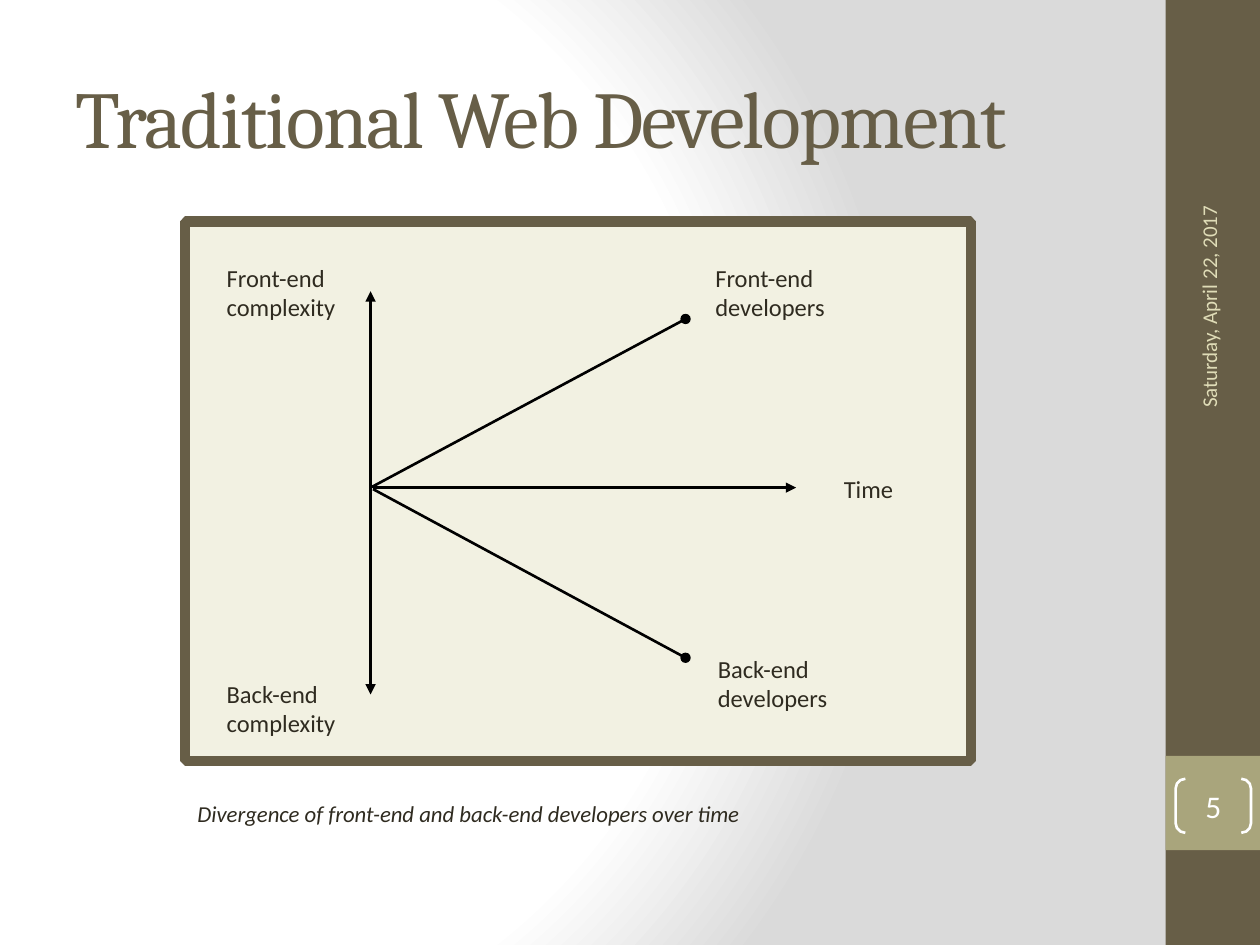
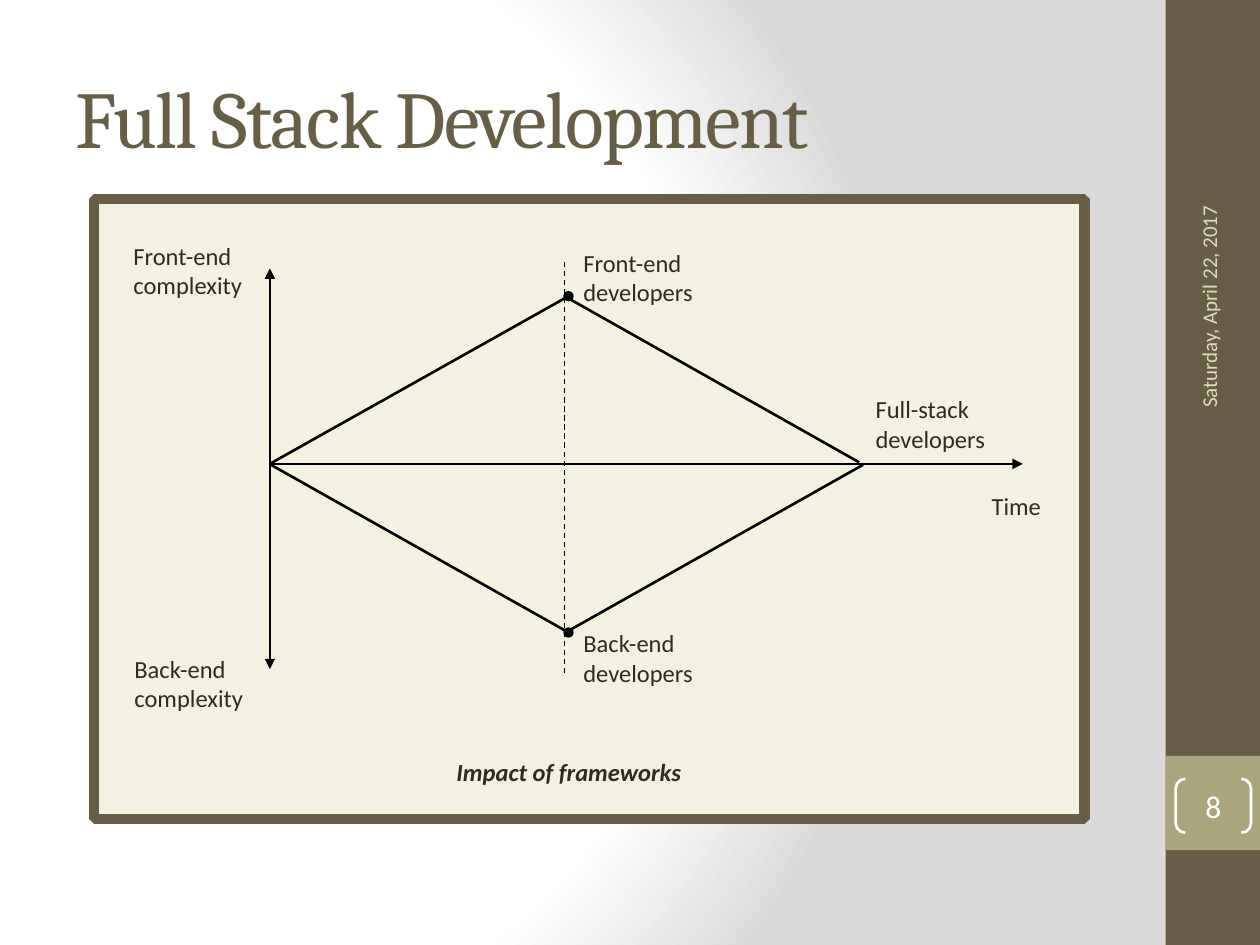
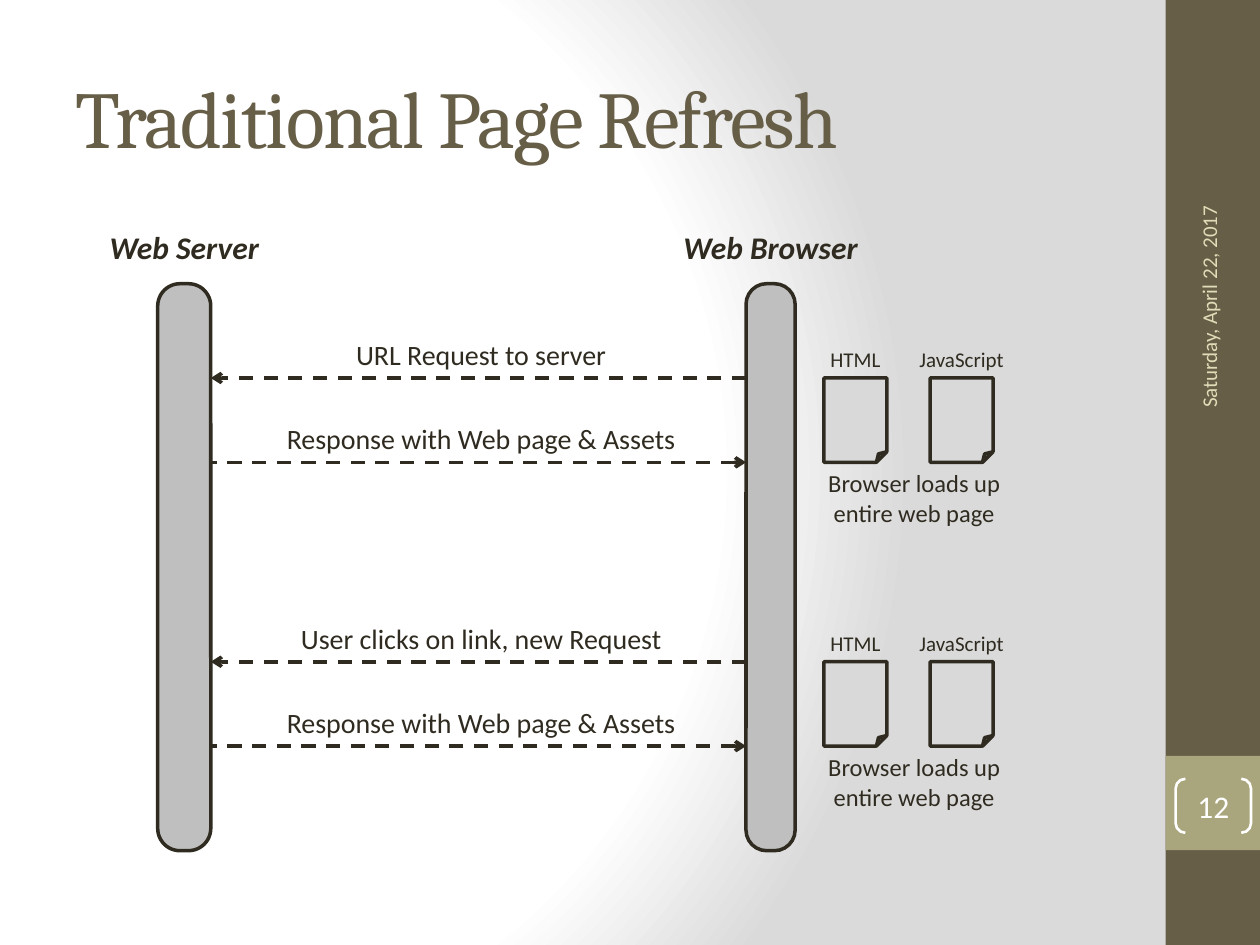
from dataclasses import dataclass

from lxml import etree
from pptx import Presentation
from pptx.dml.color import RGBColor
from pptx.enum import dml, shapes, text
from pptx.oxml import parse_xml
from pptx.oxml.ns import nsdecls, qn
from pptx.util import Cm, Pt


@dataclass(frozen=True)
class Theme:
    olive: str = "675E47"
    sage: str = "A9A57C"
    sand: str = "DFDCB7"
    cream: str = "F2F1E2"
    ink: str = "2F2B20"
    black: str = "000000"
    white: str = "FFFFFF"
    backdrop: str = "DADADA"
    bar: str = "BFBFBF"
    paper: str = "D9D9D9"
    heading_font: str = "Cambria"
    body_font: str = "Calibri"
    title: int = 46
    large: int = 18
    message: int = 16
    body: int = 14
    caption: int = 13
    small: int = 12


THEME = Theme()

# All places are in centimetres: left, top, width, height, or x, y pairs.
DATE = "Saturday, April 22, 2017"

DIAGRAMS = [
    {
        "title": "Traditional Web Development",
        "number": 5,
        "panel": (3.73, 4.47, 15.85, 10.87),
        "lines": [
            ((7.47, 14), (7.47, 5.87), "double arrow"),
            ((7.52, 9.83), (16.05, 9.83), "arrow"),
            ((7.47, 9.83), (13.82, 6.43), "dot"),
            ((7.52, 9.86), (13.82, 13.26), "dot"),
        ],
        "labels": [
            ("Front-end developers", (14.17, 5.05, 3.61, 1.75)),
            ("Back-end developers", (14.22, 12.93, 3.61, 1.35)),
            ("Front-end complexity", (4.32, 5.05, 2.9, 1.35)),
            ("Back-end complexity", (4.32, 13.44, 2.9, 1.35)),
            ("Time", (16.76, 9.3, 2.01, 1.22)),
        ],
        "caption": ("Divergence of front-end and back-end developers over time",
                    (3.73, 15.88, 11.71, 1.6),
                    {"size": THEME.caption, "italic": True}),
    },
    {
        "title": "Full Stack Development",
        "number": 8,
        "panel": (1.9, 4.01, 19.96, 12.5),
        "lines": [
            ((5.44, 13.49), (5.44, 5.41), "double arrow"),
            ((5.46, 9.35), (20.62, 9.35), "arrow"),
            ((5.44, 9.35), (11.46, 5.97), "dot"),
            ((11.4, 12.75), (17.4, 9.37), "plain"),
            ((5.46, 9.37), (11.46, 12.75), "dot"),
            ((11.38, 5.28), (11.38, 13.59), "divider"),
            ((11.38, 5.97), (17.32, 9.32), "plain"),
        ],
        "labels": [
            ("Front-end developers", (11.51, 4.75, 3.4, 1.6)),
            ("Back-end developers", (11.51, 12.42, 3.4, 1.85)),
            ("Front-end complexity", (2.44, 4.6, 2.74, 1.75)),
            ("Back-end complexity", (2.46, 12.93, 2.74, 1.68)),
            ("Full-stack developers", (17.4, 7.7, 3.4, 1.63)),
            ("Time", (19.74, 9.65, 1.9, 1.22)),
        ],
        "caption": ("Impact of frameworks", (8.46, 15.01, 6.02, 0.86),
                    {"bold": True, "italic": True, "centered": True}),
    },
]

LINE_STYLES = {
    "plain": {},
    "arrow": {"tail": "triangle"},
    "double arrow": {"head": "triangle", "tail": "triangle"},
    "dot": {"tail": "oval"},
    "divider": {"width": 0.75, "dashed": True},
}

REFRESH = {
    "title": "Traditional Page Refresh",
    "number": 12,
    "bars": [("Web Server", 3.18, 1.07), ("Web Browser", 15.04, 0.99)],
    "bar_top": 5.72,
    "bar_height": 11.43,
    "exchanges": [
        (7.62, "URL Request to server", "Response with Web page & Assets"),
        (13.34, "User clicks on link, new Request", "Response with Web page & Assets"),
    ],
    "files": [("HTML", 16.61), ("JavaScript", 18.75)],
    "file_size": (1.27, 1.7),
    "result": "Browser loads up entire web page",
}


def rgb(colour):
    return RGBColor.from_string(colour)


def write(frame, words, size=THEME.body, colour=THEME.ink, font=THEME.body_font,
          bold=False, italic=False, centered=False):
    paragraph = frame.paragraphs[0]
    paragraph.alignment = text.PP_ALIGN.CENTER if centered else text.PP_ALIGN.LEFT
    run = paragraph.add_run()
    run.text = words
    run.font.name, run.font.size = font, Pt(size)
    run.font.bold, run.font.italic = bold, italic
    run.font.color.rgb = rgb(colour)
    return run


def inset(frame, amount):
    frame.margin_left = frame.margin_right = Cm(amount)
    frame.margin_top = frame.margin_bottom = Cm(amount)


def add_label(slide, words, place, margin=None, **style):
    box = slide.shapes.add_textbox(*map(Cm, place))
    box.text_frame.word_wrap = True
    if margin is not None:
        inset(box.text_frame, margin)
    write(box.text_frame, words, **style)
    return box


def add_block(slide, kind, place, fill=None, line=None, width=2, corner=None):
    block = slide.shapes.add_shape(kind, *map(Cm, place))
    block.shadow.inherit = False
    if fill:
        block.fill.solid()
        block.fill.fore_color.rgb = rgb(fill)
    else:
        block.fill.background()
    if line:
        block.line.color.rgb = rgb(line)
        block.line.width = Pt(width)
    else:
        block.line.fill.background()
    if corner is not None:
        block.adjustments[0] = corner
    return block


def add_line(slide, start, end, colour=THEME.black, width=1.5, dashed=False,
             head=None, tail=None):
    line = slide.shapes.add_connector(shapes.MSO_CONNECTOR.STRAIGHT,
                                      *map(Cm, (*start, *end)))
    line.line.color.rgb = rgb(colour)
    line.line.width = Pt(width)
    if dashed:
        line.line.dash_style = dml.MSO_LINE.DASH
    outline = line.line._get_or_add_ln()
    for tag, ending in (("a:headEnd", head), ("a:tailEnd", tail)):
        if ending:
            etree.SubElement(outline, qn(tag), type=ending)
    etree.SubElement(line._element.spPr, qn("a:effectLst"))


def set_backdrop(master):
    """Give every slide the radial gradient."""
    master.background.fill.solid()
    solid = master.element.find(".//" + qn("p:bgPr")).find(qn("a:solidFill"))
    stops = "".join(
        f'<a:gs pos="{share * 1000}"><a:srgbClr val="{colour}"/></a:gs>'
        for share, colour in ((0, THEME.white), (75, THEME.white), (100, THEME.backdrop)))
    solid.getparent().replace(solid, parse_xml(
        f'<a:gradFill {nsdecls("a")} rotWithShape="1"><a:gsLst>{stops}</a:gsLst>'
        '<a:path path="circle"><a:fillToRect l="20000" t="50000" r="100000" b="50000"/>'
        '</a:path></a:gradFill>'))


def start_slide(prs, content):
    """Add a slide with the title, side band, date and slide number."""
    slide = prs.slides.add_slide(prs.slide_layouts[5])
    rect = shapes.MSO_SHAPE.RECTANGLE
    add_block(slide, rect, (23.5, 0, 1.9, 19.05), THEME.olive)
    add_block(slide, rect, (23.5, 15.24, 1.9, 1.9), THEME.sage)

    date = add_label(slide, DATE, (20.98, 4.57, 6.78, 1.02),
                     size=THEME.small, colour=THEME.sand)
    date.rotation = 270
    date.text_frame.vertical_anchor = text.MSO_ANCHOR.MIDDLE

    number = add_block(slide, shapes.MSO_SHAPE.DOUBLE_BRACKET, (23.7, 15.7, 1.52, 1.09),
                       line=THEME.white, width=1.5, corner=0.18)
    inset(number.text_frame, 0)
    number.text_frame.vertical_anchor = text.MSO_ANCHOR.MIDDLE
    write(number.text_frame, str(content["number"]), size=THEME.large,
          colour=THEME.white, centered=True)

    title = slide.shapes.title
    title.left, title.top, title.width, title.height = map(Cm, (1.27, 0.76, 21.16, 3.18))
    title.text_frame.vertical_anchor = text.MSO_ANCHOR.MIDDLE
    title.text_frame.auto_size = text.MSO_AUTO_SIZE.NONE
    run = write(title.text_frame, content["title"], size=THEME.title,
                colour=THEME.olive, font=THEME.heading_font)
    run.font._element.set("spc", "-100")
    return slide


def add_diagram(prs, content):
    slide = start_slide(prs, content)
    panel = add_block(slide, shapes.MSO_SHAPE.RECTANGLE, content["panel"],
                      THEME.cream, THEME.olive, 6)
    etree.SubElement(panel.line._get_or_add_ln(), qn("a:bevel"))
    for start, end, style in content["lines"]:
        add_line(slide, start, end, **LINE_STYLES[style])
    for words, place in content["labels"]:
        add_label(slide, words, place, margin=0.25)
    words, place, style = content["caption"]
    add_label(slide, words, place, margin=0.25, **style)


def add_page_refresh(prs, content):
    slide = start_slide(prs, content)
    for name, left, width in content["bars"]:
        add_block(slide, shapes.MSO_SHAPE.ROUNDED_RECTANGLE,
                  (left, content["bar_top"], width, content["bar_height"]),
                  THEME.bar, THEME.ink, corner=0.42)
        add_label(slide, name, (left + width / 2 - 2.12, 4.47, 4.24, 1.02),
                  size=THEME.large, bold=True, italic=True, centered=True)

    (_, server_left, server_width), (_, browser_left, _) = content["bars"]
    server_edge = server_left + server_width
    file_width, file_height = content["file_size"]
    for top, request, response in content["exchanges"]:
        bottom = top + file_height
        for y, words, ends in ((top, request, {"tail": "arrow"}),
                               (bottom, response, {"head": "arrow"})):
            add_line(slide, (browser_left, y), (server_edge, y), THEME.ink, 2,
                     dashed=True, **ends)
            add_label(slide, words, (4.65, y - 0.94, 10.1, 0.94),
                      size=THEME.message, centered=True)
        for name, left in content["files"]:
            add_block(slide, shapes.MSO_SHAPE.FOLDED_CORNER,
                      (left, top, file_width, file_height), THEME.paper, THEME.ink)
            add_label(slide, name, (left + file_width / 2 - 1.17, top - 0.76, 2.34, 0.76),
                      size=THEME.small, centered=True)
        add_label(slide, content["result"], (16.31, bottom, 4.24, 1.4), centered=True)


def main():
    prs = Presentation()
    prs.slide_width, prs.slide_height = Cm(25.4), Cm(19.05)
    set_backdrop(prs.slide_master)
    for diagram in DIAGRAMS:
        add_diagram(prs, diagram)
    add_page_refresh(prs, REFRESH)
    prs.save("out.pptx")


if __name__ == "__main__":
    main()
